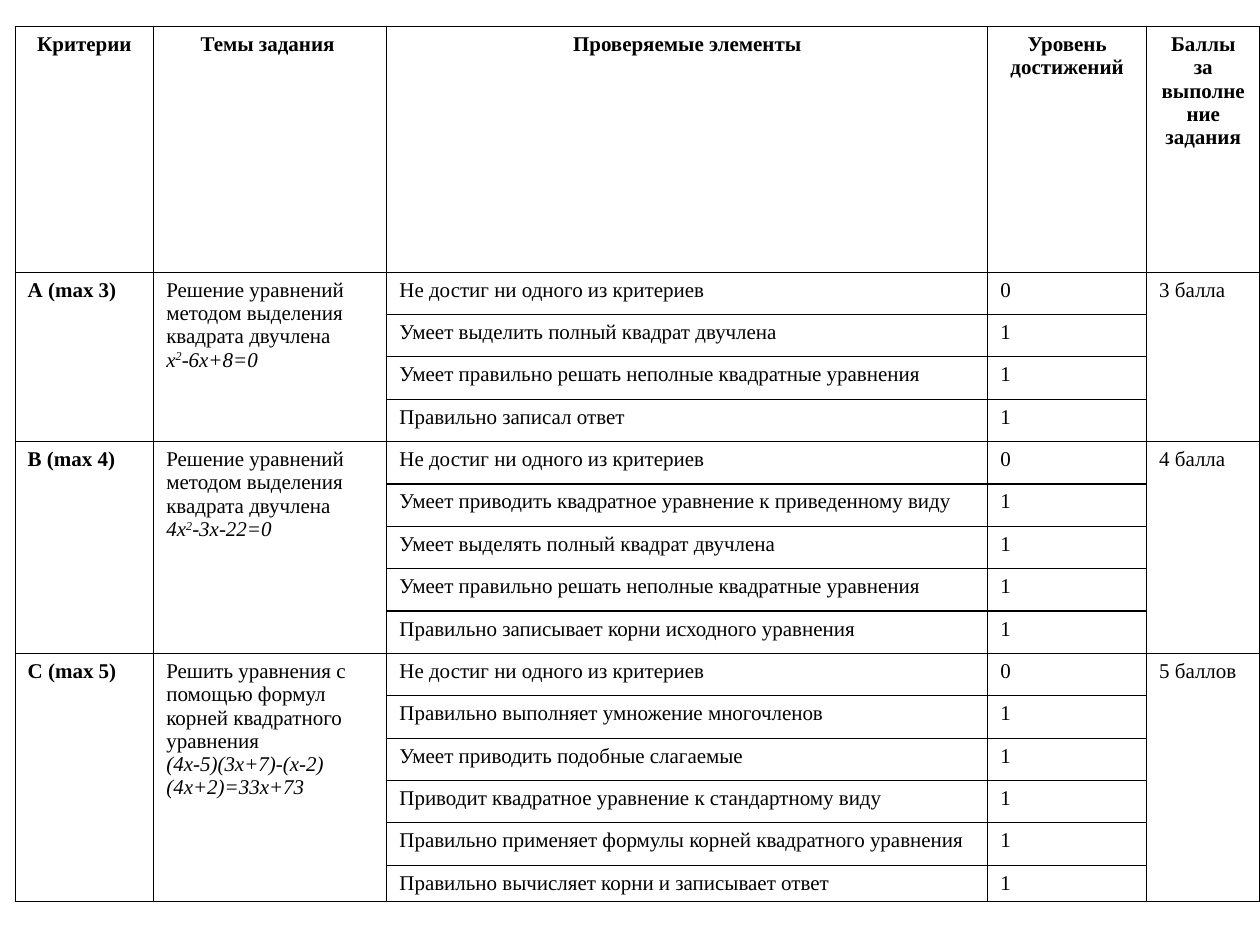
from dataclasses import dataclass

from lxml.etree import SubElement as Sub
from pptx import Presentation as Deck
from pptx.dml.color import RGBColor as Color
from pptx.enum.text import PP_ALIGN as Align
from pptx.oxml import parse_xml as parse
from pptx.oxml.ns import qn
from pptx.table import Table, _Cell as Cell
from pptx.util import Inches, Pt

BLACK = Color(0, 0, 0)
FONT = {"name": "Times New Roman", "size": Pt(12)}
PLAIN = {"bold": False, "italic": False}
BOLD = {"bold": True, "italic": False}
SLANT = {"bold": False, "italic": True}
FLAGS = {"first_row": False, "horz_banding": False}
WIDTHS = [1.1, 1.85, 4.77, 1.26, 0.9]
HEAD_H = 1.95
ROW_H = 4.71 / 14
LAST_H = 0.29
HEADS = [
    "Критерии",
    "Темы задания ",
    "Проверяемые элементы",
    "Уровень достижений",
    "Баллы за выполнение задания",
]
NONE = "Не достиг ни одного из критериев"
SOLVE = "Умеет правильно решать неполные квадратные уравнения"
SQUARE = "Решение уравнений методом выделения квадрата двучлена"


@dataclass
class Group:
    name: str
    topic: str
    base: str
    power: str
    rest: str
    score: str
    skills: list[str]


GROUPS = [
    Group("А (max 3)", SQUARE, "х", "2", "-6х+8=0", "3 балла", [
        NONE,
        "Умеет выделить полный квадрат двучлена",
        SOLVE,
        "Правильно записал ответ ",
    ]),
    Group("B (max 4)", SQUARE, "4х", "2", "-3х-22=0", "4 балла", [
        NONE,
        "Умеет приводить квадратное уравнение к приведенному виду",
        "Умеет выделять полный квадрат двучлена",
        SOLVE,
        "Правильно записывает корни исходного уравнения",
    ]),
    Group(
        "C (max 5)",
        "Решить уравнения с помощью формул корней квадратного уравнения",
        "(4х-5)(3х+7)-(х-2)(4х+2)=33х+73", "", "", "5 баллов", [
            NONE,
            "Правильно выполняет умножение многочленов",
            "Умеет приводить подобные слагаемые",
            "Приводит квадратное уравнение к стандартному виду",
            "Правильно применяет формулы корней квадратного уравнения",
            "Правильно вычисляет корни и записывает ответ",
        ]),
]


def apply(item: object, form: dict) -> None:
    for key, value in form.items():
        setattr(item, key, value)


def add_run(para, text: str, form: dict, raised: bool = False) -> None:
    run = para.add_run()
    run.text = text
    apply(run.font, FONT | form)
    run.font.color.rgb = BLACK
    if raised:
        run._r.get_or_add_rPr().set("baseline", "30000")


def write(cell: Cell, text: str, form: dict = PLAIN, align=Align.LEFT) -> None:
    para = cell.text_frame.paragraphs[0]
    para.alignment = align
    add_run(para, text, form)


def frame(cell: Cell) -> None:
    cell.fill.background()
    props = cell._tc.get_or_add_tcPr()
    for place, side in enumerate("LRTB"):
        line = props.makeelement(qn(f"a:ln{side}"), {"w": str(Pt(0.75))})
        fill = Sub(line, qn("a:solidFill"))
        Sub(fill, qn("a:srgbClr"), val=str(BLACK))
        props.insert(place, line)


def draw(table: Table, group: Group, top: int) -> int:
    end = top + len(group.skills)
    for col in (0, 1, 4):
        table.cell(top, col).merge(table.cell(end - 1, col))
    write(table.cell(top, 0), group.name, BOLD)
    write(table.cell(top, 4), group.score)
    topic = table.cell(top, 1)
    write(topic, group.topic)
    para = topic.text_frame.add_paragraph()
    for text, raised in ((group.base, False), (group.power, True), (group.rest, False)):
        if text:
            add_run(para, text, SLANT, raised)
    for step, skill in enumerate(group.skills):
        write(table.cell(top + step, 2), skill)
        write(table.cell(top + step, 3), "1" if step else "0")
    return end


def main() -> None:
    deck = Deck()
    apply(deck, {"slide_width": Inches(10), "slide_height": Inches(7.5)})
    slide = deck.slides.add_slide(deck.slide_layouts[6])
    count = sum(len(group.skills) for group in GROUPS)
    highs = [HEAD_H] + [ROW_H] * (count - 1) + [LAST_H]
    table = slide.shapes.add_table(
        len(highs), len(WIDTHS), Inches(0.12), Inches(0.21),
        Inches(sum(WIDTHS)), Inches(sum(highs)),
    ).table
    apply(table, FLAGS)
    for col, wide in zip(table.columns, WIDTHS):
        col.width = Inches(wide)
    for row, high in zip(table.rows, highs):
        row.height = Inches(high)
    for cell in table.iter_cells():
        frame(cell)
    for col, head in enumerate(HEADS):
        write(table.cell(0, col), head, BOLD, Align.CENTER)
    top = 1
    for group in GROUPS:
        top = draw(table, group, top)
    deck.save("out.pptx")


main()
